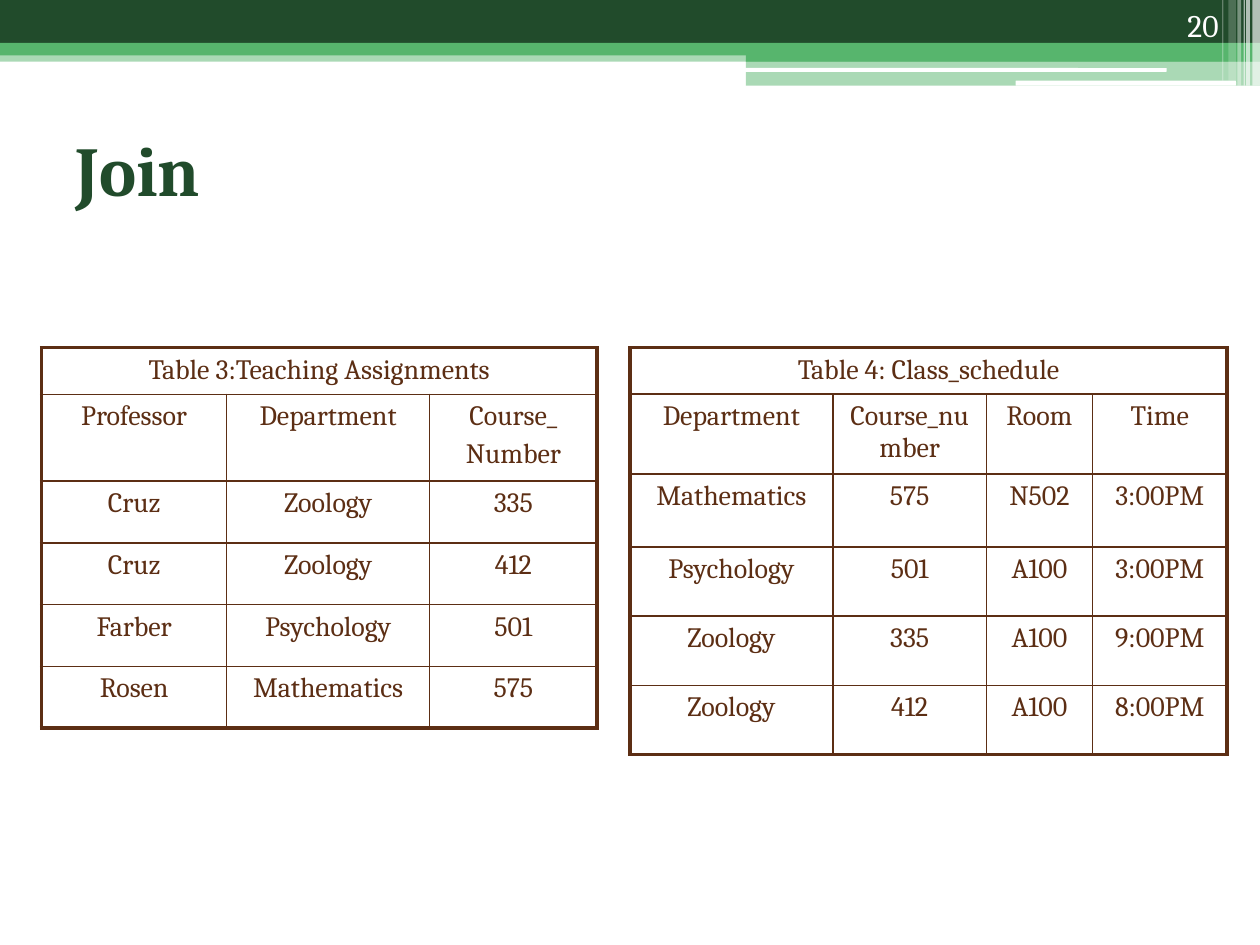
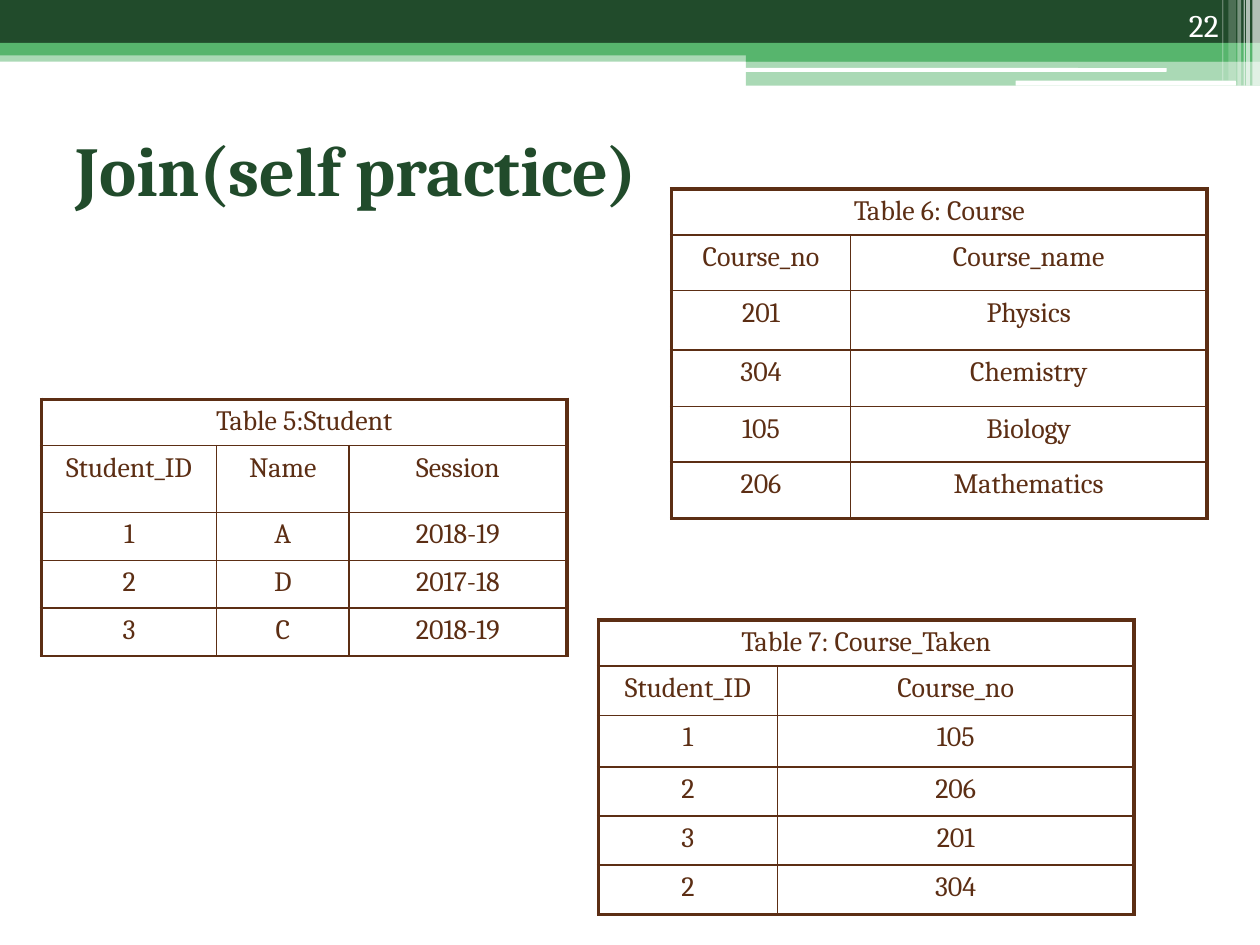
from dataclasses import dataclass
from typing import NamedTuple

from lxml.etree import SubElement as Sub
from pptx import Presentation
from pptx.dml.color import RGBColor as Rgb
from pptx.enum.shapes import MSO_SHAPE as Form
from pptx.enum.text import MSO_ANCHOR as Anchor, PP_ALIGN as Align
from pptx.oxml.ns import qn
from pptx.util import Emu, Pt

SCALE = 9144


@dataclass(frozen=True)
class Theme:
    dark: str = "214B2B"
    green: str = "57B56D"
    brown: str = "5C2E14"
    white: str = "FFFFFF"
    font: str = "Cambria"
    title: int = 40
    number: int = 18
    cell: int = 16
    thin: float = 1
    thick: float = 2.25


class Box(NamedTuple):
    left: int
    top: int
    width: int
    height: int


class Band(NamedTuple):
    box: Box
    color: str
    alpha: int = 100
    form: Form = Form.RECTANGLE


class Grid(NamedTuple):
    left: int
    top: int
    cols: list[int]
    rows: list[int]
    title: str
    body: list[list[str]]
    closed: bool = True


class Page(NamedTuple):
    title: str
    number: str
    grids: list[Grid]


THEME = Theme()

BANDS = [
    Band(Box(0, 40, 1000, 9), THEME.green, 50),
    Band(Box(0, 0, 1000, 34), THEME.dark),
    Band(Box(0, 34, 1000, 10), THEME.green),
    Band(Box(592, 39, 408, 10), THEME.green),
    Band(Box(592, 48, 408, 20), THEME.green, 50),
    Band(Box(591, 54, 335, 3), THEME.white, form=Form.ROUNDED_RECTANGLE),
    Band(Box(806, 64, 175, 4), THEME.white, form=Form.ROUNDED_RECTANGLE),
] + [
    Band(Box(left, 0, width, height), THEME.white, alpha)
    for left, width, height, alpha in [
        (994, 6, 68, 65), (989, 3, 68, 65), (987, 1, 68, 60),
        (982, 3, 68, 40), (975, 6, 64, 20), (970, 1, 64, 30),
    ]
]

PAGES = [
    Page("Join", "20", [
        Grid(33, 276, [147, 161, 133], [37, 69] + [49] * 4,
             "Table 3:Teaching Assignments", [
                 ["Professor", "Department", "Course_\nNumber"],
                 ["Cruz", "Zoology", "335"],
                 ["Cruz", "Zoology", "412"],
                 ["Farber", "Psychology", "501"],
                 ["Rosen", "Mathematics", "575"],
             ]),
        Grid(500, 276, [161, 122, 84, 107], [18, 55, 58] + [55] * 3,
             "Table 4: Class_schedule", [
                 ["Department", "Course_number", "Room", "Time"],
                 ["Mathematics", "575", "N502", "3:00PM"],
                 ["Psychology", "501", "A100", "3:00PM"],
                 ["Zoology", "335", "A100", "9:00PM"],
                 ["Zoology", "412", "A100", "8:00PM"],
             ]),
    ]),
    Page("Join(self practice)", "22", [
        Grid(33, 317, [139, 105, 173], [34, 53] + [38] * 3,
             "Table 5:Student", [
                 ["Student_ID", "Name", "Session"],
                 ["1", "A", "2018-19"],
                 ["2", "D", "2017-18"],
                 ["3", "C", "2018-19"],
             ], closed=False),
        Grid(533, 150, [142, 283], [33, 44, 47, 45, 44, 45],
             "Table 6: Course", [
                 ["Course_no", "Course_name"],
                 ["201", "Physics"],
                 ["304", "Chemistry"],
                 ["105", "Biology"],
                 ["206", "Mathematics"],
             ]),
        Grid(475, 492, [142, 283], [26, 39, 41] + [39] * 3,
             "Table 7: Course_Taken", [
                 ["Student_ID", "Course_no"],
                 ["1", "105"],
                 ["2", "206"],
                 ["3", "201"],
                 ["2", "304"],
             ]),
    ]),
]


def px(size: int) -> Emu:
    return Emu(size * SCALE)


def place(box: Box) -> list[Emu]:
    return [px(size) for size in box]


def style(frame, size: int, color: str, align: Align, bold: bool = False) -> None:
    for para in frame.paragraphs:
        para.alignment = align
        for run in para.runs:
            font = run.font
            font.name, font.size, font.bold = THEME.font, Pt(size), bold
            font.color.rgb = Rgb.from_string(color)


def draw_band(slide, band: Band) -> None:
    shape = slide.shapes.add_shape(band.form, *place(band.box))
    shape.shadow.inherit = False
    shape.line.fill.background()
    shape.fill.solid()
    shape.fill.fore_color.rgb = Rgb.from_string(band.color)
    if band.alpha < 100:
        color = shape._element.spPr.find(".//" + qn("a:srgbClr"))
        Sub(color, qn("a:alpha"), val=str(band.alpha * 1000))


def draw_text(slide, box: Box, text: str, size: int, color: str,
              anchor: Anchor, align: Align, bold: bool = False) -> None:
    frame = slide.shapes.add_textbox(*place(box)).text_frame
    frame.word_wrap = True
    frame.vertical_anchor = anchor
    frame.text = text
    style(frame, size, color, align, bold)


def draw_edge(cell, side: str, width: float) -> None:
    line = Sub(cell._tc.get_or_add_tcPr(), qn(f"a:ln{side}"), w=str(Pt(width)))
    fill = Sub(line, qn("a:solidFill"))
    Sub(fill, qn("a:srgbClr"), val=THEME.brown)


def fill_cell(cell, text: str) -> None:
    frame = cell.text_frame
    frame.text = text
    style(frame, THEME.cell, THEME.brown, Align.CENTER)
    for para in frame.paragraphs:
        space = Sub(para._p.get_or_add_pPr(), qn("a:spcBef"))
        Sub(space, qn("a:spcPct"), val="20000")


def draw_grid(slide, grid: Grid) -> None:
    box = Box(grid.left, grid.top, sum(grid.cols), sum(grid.rows))
    last_row, last_col = len(grid.rows) - 1, len(grid.cols) - 1
    table = slide.shapes.add_table(last_row + 1, last_col + 1, *place(box)).table
    table.first_row = table.horz_banding = False
    for col, width in zip(table.columns, grid.cols):
        col.width = px(width)
    for row, height in zip(table.rows, grid.rows):
        row.height = px(height)
    table.cell(0, 0).merge(table.cell(0, last_col))
    fill_cell(table.cell(0, 0), grid.title)
    for r in range(last_row + 1):
        for c in range(last_col + 1):
            cell = table.cell(r, c)
            outer = {
                "L": r == 0 or c == 0,
                "R": r == 0 or c == last_col,
                "T": r == 0,
                "B": r == last_row and grid.closed,
            }
            for side, bold in outer.items():
                draw_edge(cell, side, THEME.thick if bold else THEME.thin)
            cell.fill.background()
            if r:
                fill_cell(cell, grid.body[r - 1][c])


def draw_page(deck, page: Page) -> None:
    slide = deck.slides.add_slide(deck.slide_layouts[6])
    for band in BANDS:
        draw_band(slide, band)
    draw_text(slide, Box(50, 75, 900, 117), page.title, THEME.title,
              THEME.dark, Anchor.MIDDLE, Align.LEFT, bold=True)
    draw_text(slide, Box(894, 0, 83, 40), page.number, THEME.number,
              THEME.white, Anchor.BOTTOM, Align.RIGHT)
    for grid in page.grids:
        draw_grid(slide, grid)


def main() -> None:
    deck = Presentation()
    deck.slide_width, deck.slide_height = px(1000), px(750)
    for page in PAGES:
        draw_page(deck, page)
    deck.save("out.pptx")


if __name__ == "__main__":
    main()
